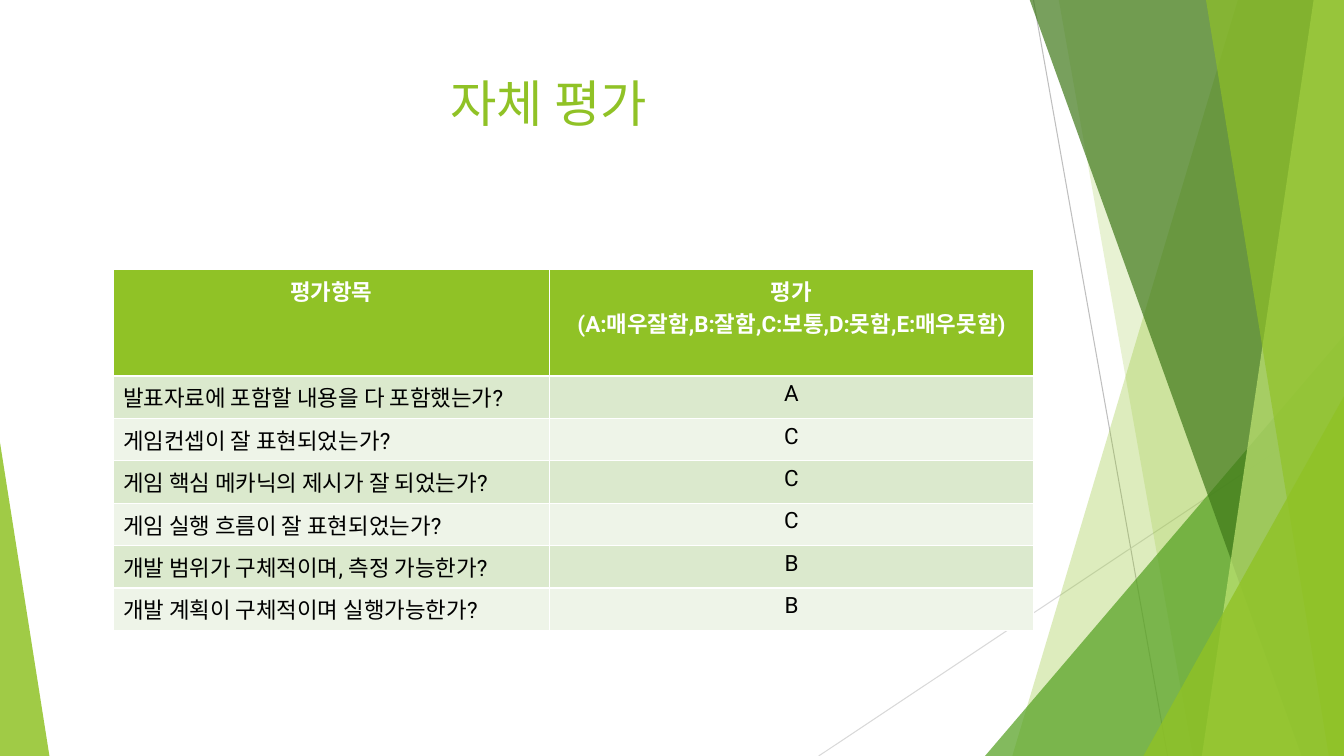
"""Build the self-evaluation slide with its green facet background and table."""
from lxml import etree
from pptx import Presentation
from pptx.dml.color import RGBColor
from pptx.enum import shapes, text
from pptx.oxml import ns
from pptx.util import Inches, Pt

FONT = "Roboto"
GREEN = RGBColor(0x90, 0xC2, 0x26)
MID_GREEN = RGBColor(0x54, 0xA0, 0x21)
DARK_GREEN = RGBColor(0x3F, 0x78, 0x19)
LIGHT_GREEN = RGBColor(0xC0, 0xE4, 0x74)
BAND_DARK = RGBColor(0xDB, 0xE9, 0xCD)
BAND_LIGHT = RGBColor(0xEE, 0xF4, 0xE8)
GRAY = RGBColor(0xBF, 0xBF, 0xBF)
LIGHT_GRAY = RGBColor(0xD9, 0xD9, 0xD9)
WHITE = RGBColor(0xFF, 0xFF, 0xFF)
BLACK = RGBColor(0, 0, 0)
RIGHT, TOP, BOTTOM = 13.33, -0.01, 7.5


def paint(shape, color, opacity):
    """Give a shape a see-through fill without outline or shadow."""
    shape.shadow.inherit = False
    shape.line.fill.background()
    shape.fill.solid()
    shape.fill.fore_color.rgb = color
    color_node = shape.fill._xPr.find(".//" + ns.qn("a:srgbClr"))
    etree.SubElement(color_node, ns.qn("a:alpha"), val=str(opacity * 1000))


def write(para, content, align, formats):
    """Write one formatted span into a paragraph."""
    para.alignment = align
    span = para.add_run()
    span.text = content
    span.font.color.rgb = formats["color"]
    for name in ("name", "size", "bold"):
        setattr(span.font, name, formats[name])


deck = Presentation()
deck.slide_width, deck.slide_height = Inches(RIGHT), Inches(BOTTOM)
page = deck.slides.add_slide(deck.slide_layouts[5])

for x1, y1, x2, y2, color in [
    (10.25, 0, 11.58, BOTTOM, GRAY),
    (RIGHT, 4.03, 8.12, BOTTOM, LIGHT_GRAY),
]:
    line = page.shapes.add_connector(
        shapes.MSO_CONNECTOR.STRAIGHT, Inches(x1), Inches(y1), Inches(x2), Inches(y2))
    line.line.color.rgb = color
    line.line.width = Pt(0.75)
    etree.SubElement(line._element.spPr, ns.qn("a:effectLst"))

facets = [
    ("band", 12.28, 10.04, GREEN, 30),
    ("band", 10.5, 11.83, GREEN, 20),
    ("triangle", 9.77, 3.33, 3.56, 1, MID_GREEN, 72),
    ("band", 10.21, 12.91, DARK_GREEN, 70),
    ("band", 13.03, 11.92, LIGHT_GREEN, 70),
    ("band", 11.96, 13.18, GREEN, 65),
    ("triangle", 11.34, 3.93, 1.99, 1, GREEN, 80),
    ("triangle", 0, 4.39, 0.49, 0, GREEN, 85),
]
for kind, *measures, color, opacity in facets:
    if kind == "band":
        top_x, bottom_x = measures
        builder = page.shapes.build_freeform(Inches(top_x), Inches(TOP))
        builder.add_line_segments([
            (Inches(x), Inches(y))
            for x, y in [(RIGHT, TOP), (RIGHT, BOTTOM), (bottom_x, BOTTOM)]
        ], close=True)
        facet = builder.convert_to_shape()
    else:
        left, top, width, apex = measures
        facet = page.shapes.add_shape(
            shapes.MSO_SHAPE.ISOSCELES_TRIANGLE,
            Inches(left), Inches(top), Inches(width), Inches(BOTTOM - top))
        facet.adjustments[0] = apex
    paint(facet, color, opacity)

title = page.shapes.title
title.left, title.top, title.width, title.height = map(Inches, (0.74, 0.67, 9.4, 1.44))
title.text_frame.vertical_anchor = text.MSO_ANCHOR.TOP
write(title.text_frame.paragraphs[0], "자체 평가", text.PP_ALIGN.CENTER,
      {"name": FONT, "size": Pt(36), "bold": False, "color": GREEN})

rows = [
    ("평가항목", "평가\n(A:매우잘함,B:잘함,C:보통,D:못함,E:매우못함)"),
    ("발표자료에 포함할 내용을 다 포함했는가?", "A"),
    ("게임컨셉이 잘 표현되었는가?", "C"),
    ("게임 핵심 메카닉의 제시가 잘 되었는가?", "C"),
    ("게임 실행 흐름이 잘 표현되었는가?", "C"),
    ("개발 범위가 구체적이며, 측정 가능한가?", "B"),
    ("개발 계획이 구체적이며 실행가능한가?", "B"),
]
table = page.shapes.add_table(
    len(rows), 2, Inches(1.12), Inches(2.67), Inches(9.13), Inches(2.87)).table
for column, width in zip(table.columns, (4.33, 4.8)):
    column.width = Inches(width)
for r, row in enumerate(rows):
    header = r == 0
    table.rows[r].height = Inches(0.41)
    formats = {"name": FONT, "size": Pt(16), "bold": header,
               "color": WHITE if header else BLACK}
    for c, content in enumerate(row):
        cell = table.cell(r, c)
        cell.fill.solid()
        cell.fill.fore_color.rgb = GREEN if header else (BAND_LIGHT, BAND_DARK)[r % 2]
        align = text.PP_ALIGN.CENTER if header or c else text.PP_ALIGN.LEFT
        for i, paragraph_text in enumerate(content.split("\n")):
            para = cell.text_frame.add_paragraph() if i else cell.text_frame.paragraphs[0]
            write(para, paragraph_text, align, formats)

deck.save("out.pptx")
